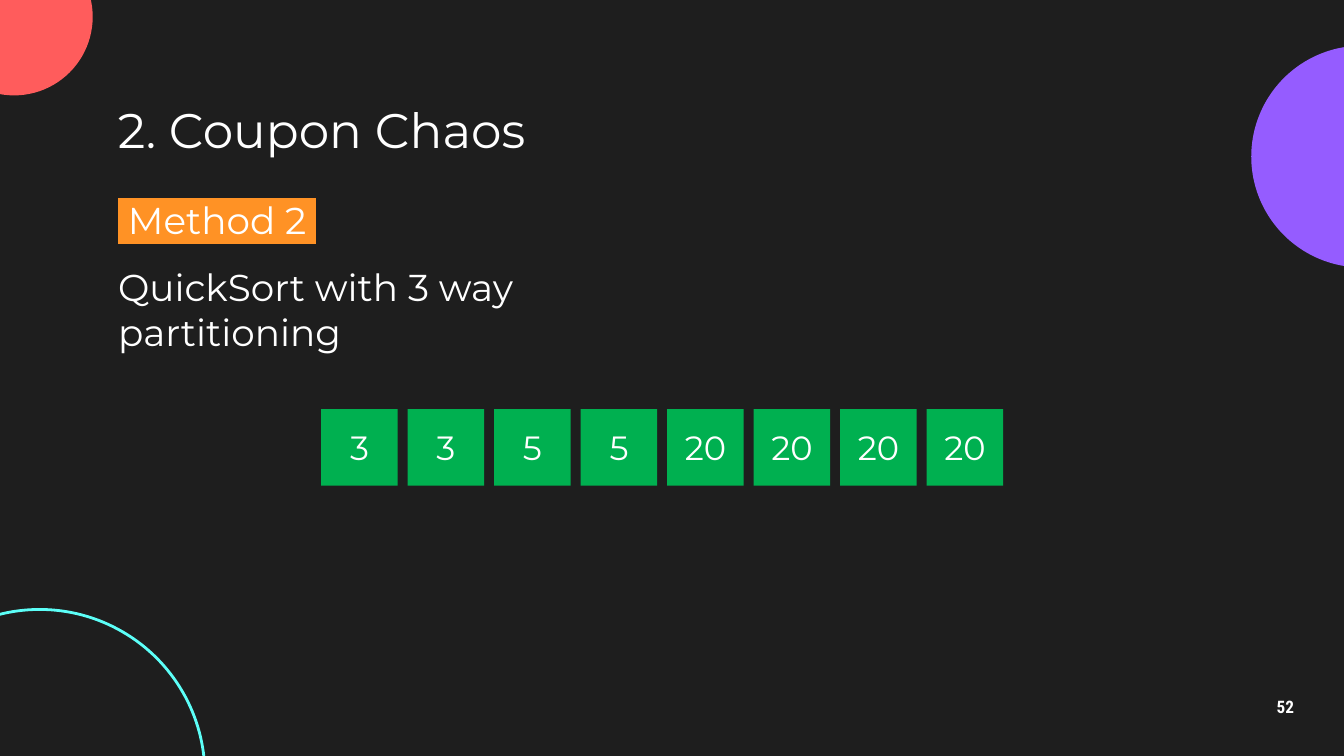
from lxml.etree import SubElement
from pptx import Presentation
from pptx.dml.color import RGBColor
from pptx.enum.shapes import MSO_SHAPE as Shape
from pptx.enum.text import MSO_ANCHOR as Anchor, PP_ALIGN as Align
from pptx.oxml.ns import qn
from pptx.util import Pt

PX = 4572  # EMU per px, 200 px to the inch
WIDTH, HEIGHT = 2000, 1125
WHITE = "FFFFFF"
FONT = "Montserrat"


def px(*lengths):
    return [round(length * PX) for length in lengths]


def paint(color_format, color):
    color_format.rgb = RGBColor.from_string(color)


def add_span(para, text, size, font=FONT, bold=False, highlight=None):
    span = para.add_run()
    span.text = text
    span.font.size = Pt(size)
    span.font.name = font
    span.font.bold = bold
    span.font.fill.solid()
    paint(span.font.fill.fore_color, WHITE)
    if highlight:
        props = span.font._element
        mark = SubElement(props, qn("a:highlight"))
        SubElement(mark, qn("a:srgbClr"), val=highlight)
        props.find(qn("a:solidFill")).addnext(mark)


def add_form(page, kind, box, fill=None, line=None):
    form = page.shapes.add_shape(kind, *px(*box))
    form.shadow.inherit = False
    if fill:
        form.fill.solid()
        paint(form.fill.fore_color, fill)
    else:
        form.fill.background()
    if line:
        paint(form.line.color, line)
        form.line.width = Pt(1.5)
    else:
        form.line.fill.background()
    return form


def add_text_frame(page, box, anchor=Anchor.MIDDLE):
    frame = page.shapes.add_textbox(*px(*box)).text_frame
    frame.word_wrap = True
    frame.vertical_anchor = anchor
    frame.margin_left = frame.margin_right = 20 * PX
    frame.margin_top = frame.margin_bottom = 20 * PX
    return frame


def add_circles(page, box):
    """Circles that run over the edges of the page."""
    left, top, width, height = box
    add_form(page, Shape.OVAL, (left + width - 138, top + 68, 330, 330), "955CFF")
    add_form(page, Shape.OVAL, (left - 96, top - 92, 234, 234), "FF5C5C")
    add_form(page, Shape.OVAL, (left - 187, top + height - 218, 492, 492), line="5CFFF8")


def add_title(page, box, text):
    frame = add_text_frame(page, box)
    add_span(frame.paragraphs[0], text, 26)


def add_method(page, box, label, description):
    """Highlighted label above its description."""
    frame = add_text_frame(page, box, Anchor.TOP)
    add_span(frame.paragraphs[0], f" {label} ", 20, highlight="FF9225")
    para = frame.add_paragraph()
    para.space_before = Pt(12.2)
    add_span(para, description, 20)


def add_array(page, box, values):
    """Row of square cells, spread evenly over the box."""
    left, top, width, side = box
    pitch = (width - side) / (len(values) - 1)
    for index, value in enumerate(values):
        cell = add_form(page, Shape.RECTANGLE,
                        (left + index * pitch, top, side, side), "00B050")
        frame = cell.text_frame
        frame.vertical_anchor = Anchor.MIDDLE
        frame.margin_left = frame.margin_right = 10 * PX
        para = frame.paragraphs[0]
        para.alignment = Align.CENTER
        add_span(para, str(value), 18)


def add_page_number(page, box, number):
    para = add_text_frame(page, box).paragraphs[0]
    para.alignment = Align.CENTER
    para.line_spacing = 0.9
    add_span(para, str(number), 9.2, "Roboto Condensed", bold=True)


def main():
    deck = Presentation()
    deck.slide_width, deck.slide_height = px(WIDTH, HEIGHT)
    page = deck.slides.add_slide(deck.slide_layouts[6])
    page.background.fill.solid()
    paint(page.background.fill.fore_color, "1E1E1E")

    add_circles(page, (0, 0, WIDTH, HEIGHT))
    add_title(page, (156, 141, 1688, 102), "2. Coupon Chaos")
    add_method(page, (156, 273, 750, 102), "Method 2", "QuickSort with 3 way partitioning")
    add_array(page, (478, 609, 1015, 114), [3, 3, 5, 5, 20, 20, 20, 20])
    add_page_number(page, (1853, 1020, 120, 68), 52)

    deck.save("out.pptx")


if __name__ == "__main__":
    main()
